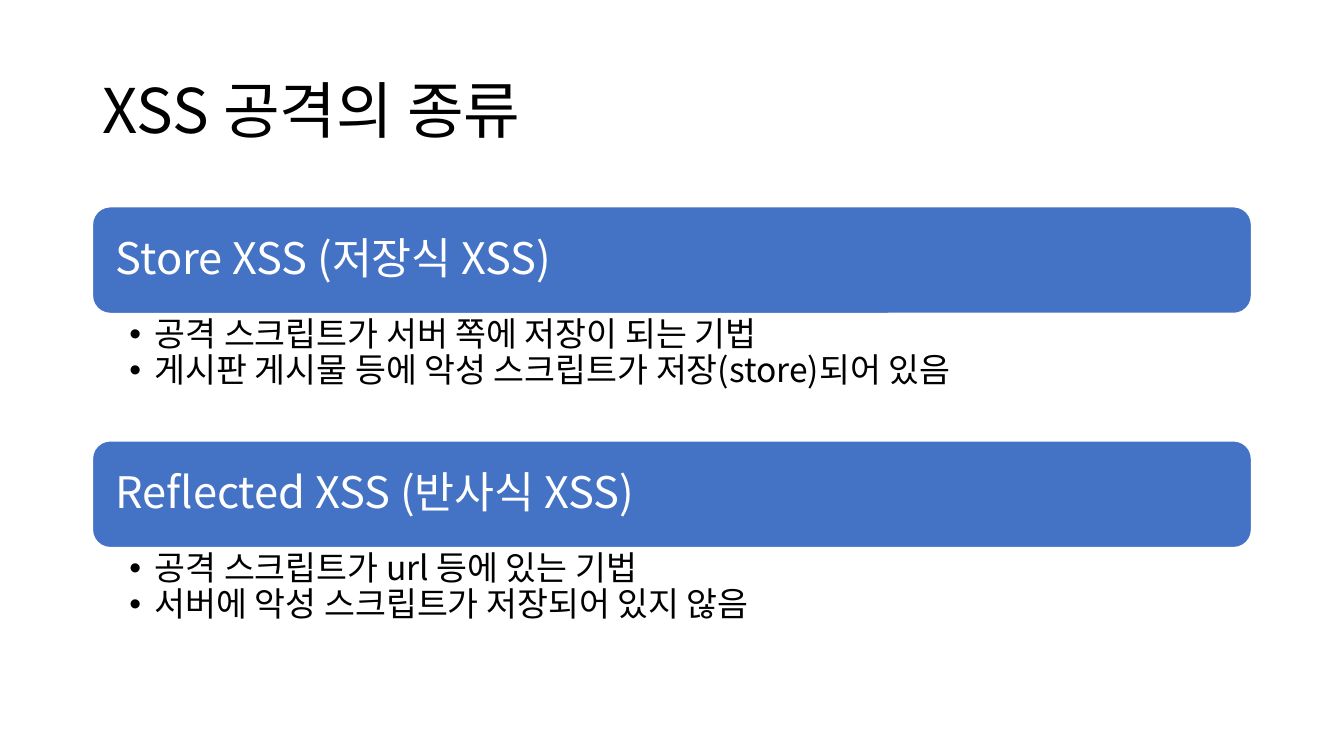
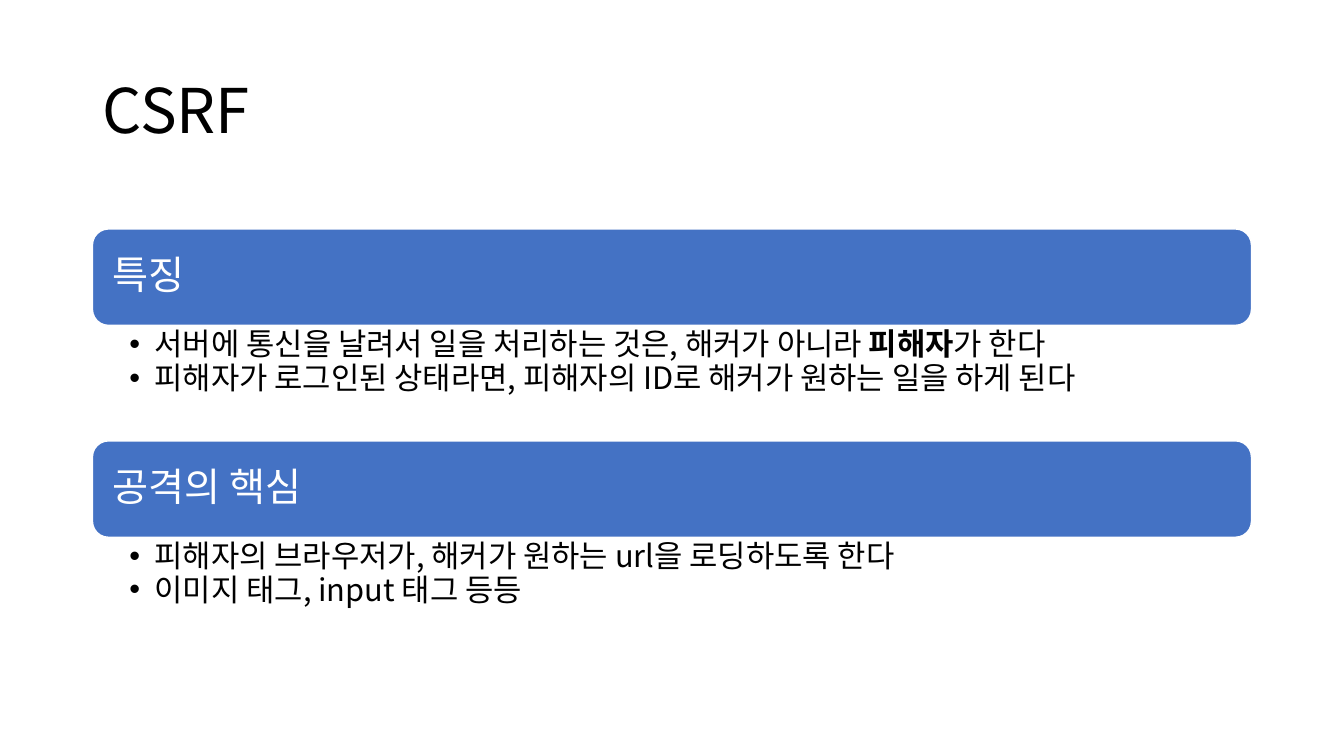
from dataclasses import dataclass

from lxml import etree
from pptx import Presentation
from pptx import util as u
from pptx.dml.color import RGBColor
from pptx.enum import shapes, text
from pptx.oxml import ns

COLOURS = {"band": "4472C4", "light": "FFFFFF", "dark": "000000"}
FONT = "Noto Sans CJK KR"
LEFT, WIDTH = u.Cm(2.33), u.Cm(29.21)
LINE_SPACING = 0.9


@dataclass(frozen=True)
class Section:
    heading: str
    bullets: tuple[str, ...]


@dataclass(frozen=True)
class Topic:
    title: str
    top: float
    band_height: float
    list_height: float
    heading_inset: float
    heading_size: int
    bullet_size: int
    sections: tuple[Section, ...]


TOPICS = (
    Topic("XSS 공격의 종류", 5.21, 2.69, 3.21, 0.46, 31, 24, (
        Section("Store XSS (저장식 XSS)", (
            "공격 스크립트가 서버 쪽에 저장이 되는 기법",
            "게시판 게시물 등에 악성 스크립트가 저장(store)되어 있음",
        )),
        Section("Reflected XSS (반사식 XSS)", (
            "공격 스크립트가 url 등에 있는 기법",
            "서버에 악성 스크립트가 저장되어 있지 않음",
        )),
    )),
    Topic("CSRF", 5.77, 2.43, 2.91, 0.4, 28, 22, (
        Section("특징", (
            "서버에 통신을 날려서 일을 처리하는 것은, 해커가 아니라 *피해자*가 한다",
            "피해자가 로그인된 상태라면, 피해자의 ID로 해커가 원하는 일을 하게 된다",
        )),
        Section("공격의 핵심", (
            "피해자의 브라우저가, 해커가 원하는 url을 로딩하도록 한다",
            "이미지 태그, input 태그 등등",
        )),
    )),
)


def format_paragraph(paragraph, size: int, colour: str) -> None:
    paragraph.alignment = text.PP_ALIGN.LEFT
    paragraph.line_spacing = LINE_SPACING
    paragraph.space_before = paragraph.space_after = u.Pt(0)
    for run in paragraph.runs:
        run.font.size = u.Pt(size)
        run.font.color.rgb = RGBColor.from_string(COLOURS[colour])
        run.font.name = FONT
        properties = run._r.get_or_add_rPr()
        etree.SubElement(properties, ns.qn("a:ea"), typeface=FONT)


def add_bullet_mark(paragraph) -> None:
    paragraph.level = 1
    properties = paragraph._p.get_or_add_pPr()
    indent = u.Cm(0.64)
    properties.set("marL", str(indent))
    properties.set("indent", str(-indent))
    etree.SubElement(properties, ns.qn("a:buFont"), typeface="Arial")
    etree.SubElement(properties, ns.qn("a:buChar"), char="•")


def set_title(slide, title: str) -> None:
    shape = slide.shapes.title
    shape.left, shape.top, shape.width, shape.height = LEFT, u.Cm(1.01), WIDTH, u.Cm(3.68)
    frame = shape.text_frame
    frame.text = title
    frame.vertical_anchor = text.MSO_ANCHOR.MIDDLE
    format_paragraph(frame.paragraphs[0], 44, "dark")


def add_band(slide, topic: Topic, heading: str, top: float) -> None:
    shape = slide.shapes.add_shape(
        shapes.MSO_SHAPE.ROUNDED_RECTANGLE, LEFT, u.Cm(top), WIDTH, u.Cm(topic.band_height))
    shape.shadow.inherit = False
    shape.fill.solid()
    shape.fill.fore_color.rgb = RGBColor.from_string(COLOURS["band"])
    shape.line.color.rgb = RGBColor.from_string(COLOURS["light"])
    shape.line.width = u.Pt(1)
    frame = shape.text_frame
    frame.text = heading
    frame.vertical_anchor = text.MSO_ANCHOR.MIDDLE
    frame.margin_left = frame.margin_right = u.Cm(topic.heading_inset)
    format_paragraph(frame.paragraphs[0], topic.heading_size, "light")


def add_bullets(slide, topic: Topic, bullets: tuple[str, ...], top: float) -> None:
    box = slide.shapes.add_textbox(LEFT, u.Cm(top), WIDTH, u.Cm(topic.list_height))
    frame = box.text_frame
    frame.word_wrap = True
    frame.margin_left, frame.margin_right = u.Cm(0.93), u.Cm(0.58)
    frame.margin_top = frame.margin_bottom = u.Cm(0.1)
    for index, bullet in enumerate(bullets):
        paragraph = frame.add_paragraph() if index else frame.paragraphs[0]
        for position, part in enumerate(bullet.split("*")):
            run = paragraph.add_run()
            run.text = part
            run.font.bold = position % 2 == 1
        format_paragraph(paragraph, topic.bullet_size, "dark")
        add_bullet_mark(paragraph)


def add_topic(presentation, topic: Topic) -> None:
    slide = presentation.slides.add_slide(presentation.slide_layouts[5])
    set_title(slide, topic.title)
    for index, section in enumerate(topic.sections):
        top = topic.top + index * (topic.band_height + topic.list_height)
        add_band(slide, topic, section.heading, top)
        add_bullets(slide, topic, section.bullets, top + topic.band_height)


def main() -> None:
    presentation = Presentation()
    presentation.slide_width, presentation.slide_height = u.Cm(33.87), u.Cm(19.05)
    for topic in TOPICS:
        add_topic(presentation, topic)
    presentation.save("out.pptx")


if __name__ == "__main__":
    main()
